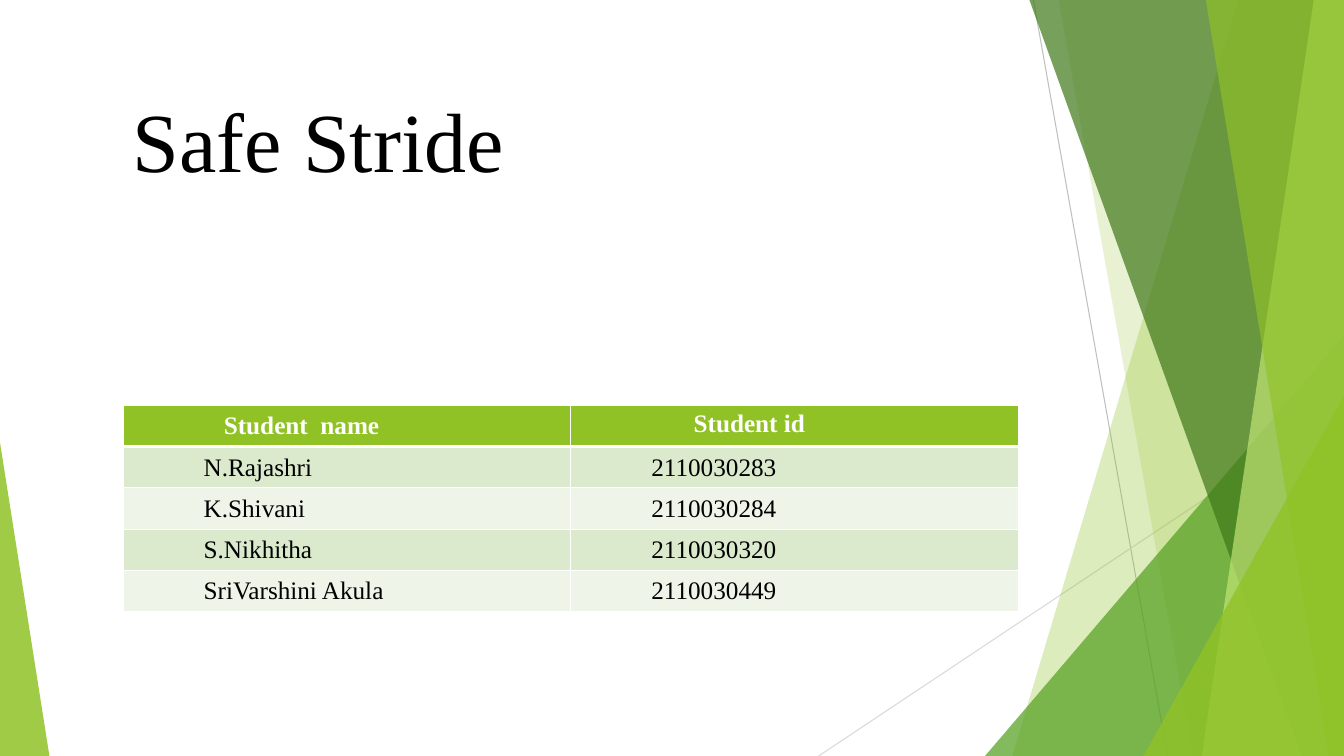
from lxml.etree import SubElement
from pptx import Presentation
from pptx.dml.color import RGBColor
from pptx.enum.shapes import MSO_CONNECTOR as Connector, MSO_SHAPE as Shape
from pptx.enum.text import MSO_ANCHOR as Anchor
from pptx.oxml import parse_xml
from pptx.oxml.ns import nsdecls, qn
from pptx.util import Inches, Pt

WHITE = RGBColor(0xFF, 0xFF, 0xFF)
BLACK = RGBColor(0x00, 0x00, 0x00)
LIME = RGBColor(0x90, 0xC2, 0x26)
GREEN = RGBColor(0x54, 0xA0, 0x21)
FOREST = RGBColor(0x3F, 0x78, 0x19)
PALE_LIME = RGBColor(0xC0, 0xE4, 0x74)
SILVER = RGBColor(0xBF, 0xBF, 0xBF)
MIST = RGBColor(0xD9, 0xD9, 0xD9)
ROW_TINTS = (RGBColor(0xDB, 0xE9, 0xCD), RGBColor(0xEE, 0xF4, 0xE8))

WIDTH, HEIGHT = 13.33, 7.5
STUDENTS = [
    ("N.Rajashri", "2110030283"),
    ("K.Shivani", "2110030284"),
    ("S.Nikhitha", "2110030320"),
    ("SriVarshini Akula", "2110030449"),
]


class StudentSlide:
    font = "Times New Roman"

    def __init__(self, page):
        self.shapes = page.shapes

    def paint(self, shape, color, opacity):
        shape.shadow.inherit = False
        shape.line.fill.background()
        shape.fill.solid()
        shape.fill.fore_color.rgb = color
        tint = shape._element.spPr.find(qn("a:solidFill"))[0]
        SubElement(tint, qn("a:alpha")).set("val", str(opacity * 1000))

    def line(self, start, end, color):
        connector = self.shapes.add_connector(
            Connector.STRAIGHT, *(Inches(value) for value in start + end))
        connector.line.color.rgb = color
        connector.line.width = Pt(0.75)
        SubElement(connector._element.spPr, qn("a:effectLst"))

    def band(self, top_left, bottom_left, color, opacity):
        corners = [(top_left, 0), (WIDTH, 0), (WIDTH, HEIGHT), (bottom_left, HEIGHT)]
        points = [(Inches(x), Inches(y)) for x, y in corners]
        builder = self.shapes.build_freeform(*points[0])
        builder.add_line_segments(points[1:], close=True)
        self.paint(builder.convert_to_shape(), color, opacity)

    def triangle(self, left, top, width, apex, color, opacity):
        shape = self.shapes.add_shape(
            Shape.ISOSCELES_TRIANGLE, Inches(left), Inches(top),
            Inches(width), Inches(HEIGHT - top))
        shape.adjustments[0] = apex
        self.paint(shape, color, opacity)

    def set_text(self, frame, text, size, color, bold=False):
        para = frame.paragraphs[0]
        para.text = text
        para.font.name = self.font
        para.font.size = Pt(size)
        para.font.color.rgb = color
        para.font.bold = bold

    def title(self, text, left, top, width, height):
        box = self.shapes.add_textbox(
            Inches(left), Inches(top), Inches(width), Inches(height))
        frame = box.text_frame
        frame.word_wrap = True
        frame.vertical_anchor = Anchor.BOTTOM
        self.set_text(frame, text, 60, BLACK)

    def cell(self, cell, text, fill, color, indent, drop=0.07, header=False):
        cell.margin_left = Inches(indent)
        cell.margin_top = Inches(drop)
        cell.margin_bottom = Inches(0.02)
        self.set_text(cell.text_frame, text, 18, color, header)
        cell.fill.solid()
        cell.fill.fore_color.rgb = fill
        properties = cell._tc.get_or_add_tcPr()
        for position, side in enumerate("LRTB"):
            width = Pt(3 if header and side == "B" else 1)
            properties.insert(position, parse_xml(
                f'<a:ln{side} {nsdecls("a")} w="{width}"><a:solidFill>'
                f'<a:srgbClr val="{WHITE}"/></a:solidFill></a:ln{side}>'))

    def table(self, students, left, top, column_width, row_height):
        count = len(students) + 1
        table = self.shapes.add_table(
            count, 2, Inches(left), Inches(top),
            Inches(2 * column_width), Inches(count * row_height)).table
        for column in table.columns:
            column.width = Inches(column_width)
        for row in table.rows:
            row.height = Inches(row_height)
        self.cell(table.cell(0, 0), "Student  name", LIME, WHITE, 1, header=True)
        self.cell(table.cell(0, 1), "Student id", LIME, WHITE, 1.22, 0.05, header=True)
        for row, student in enumerate(students, 1):
            for column, text in enumerate(student):
                fill = ROW_TINTS[(row - 1) % 2]
                self.cell(table.cell(row, column), text, fill, BLACK, 0.8)


def main():
    deck = Presentation()
    deck.slide_width, deck.slide_height = Inches(WIDTH), Inches(HEIGHT)
    slide = StudentSlide(deck.slides.add_slide(deck.slide_layouts[6]))

    slide.line((10.25, 0), (11.58, HEIGHT), SILVER)
    slide.line((WIDTH, 4.03), (8.12, HEIGHT), MIST)
    slide.band(12.28, 10.04, LIME, 30)
    slide.band(10.5, 11.83, LIME, 20)
    slide.triangle(9.77, 3.33, 3.56, 1, GREEN, 72)
    slide.band(10.21, 12.91, FOREST, 70)
    slide.band(13.03, 11.92, PALE_LIME, 70)
    slide.band(11.96, 13.18, LIME, 65)
    slide.triangle(11.34, 3.93, 1.99, 1, LIME, 80)
    slide.triangle(0, 4.39, 0.49, 0, LIME, 85)

    slide.title("Safe Stride", 1.22, 0.82, 7.59, 1.11)
    slide.table(STUDENTS, 1.22, 4.02, 4.44, 0.41)
    deck.save("out.pptx")


if __name__ == "__main__":
    main()
